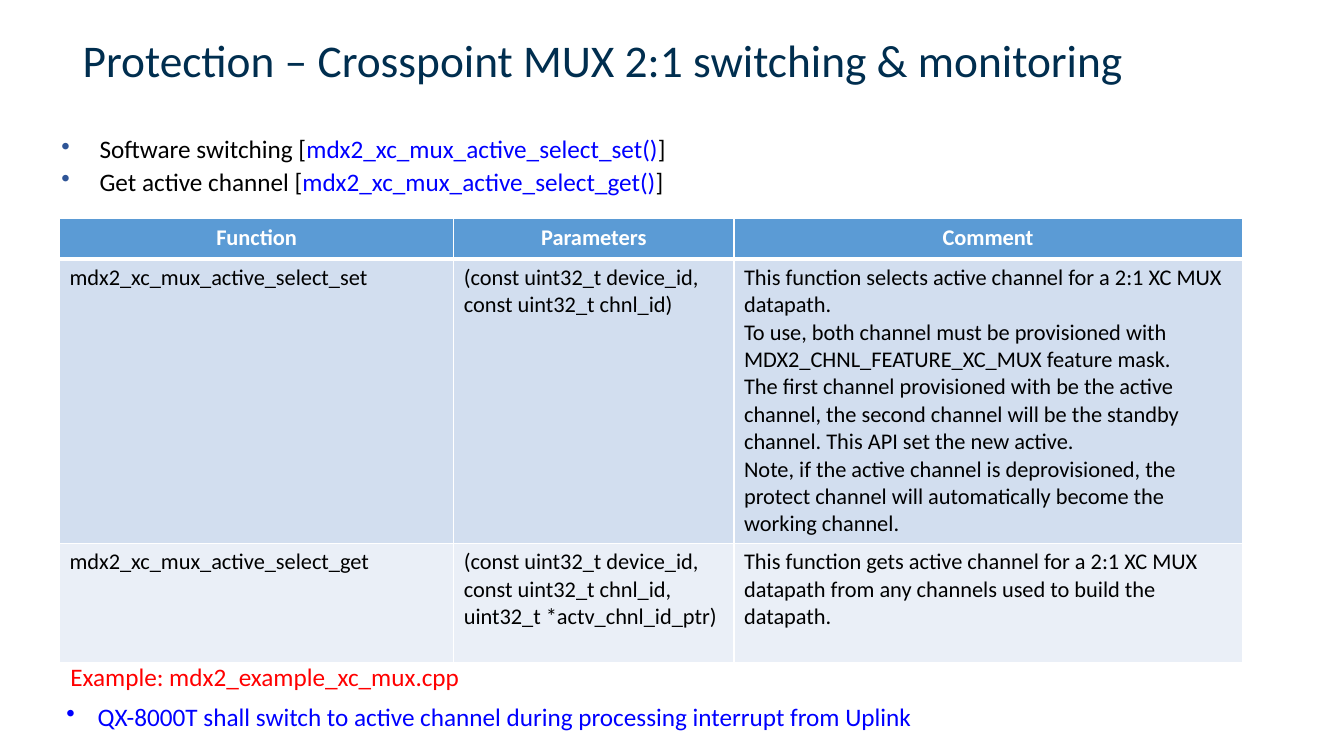
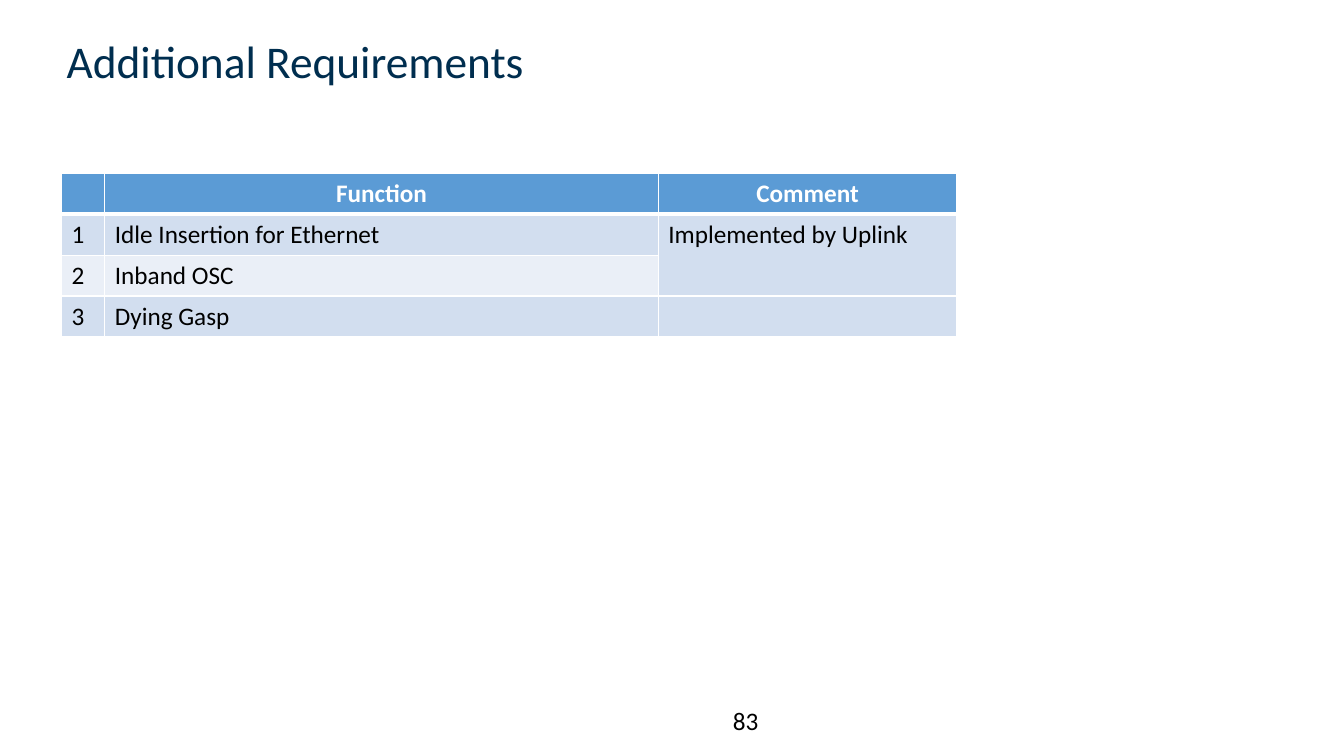
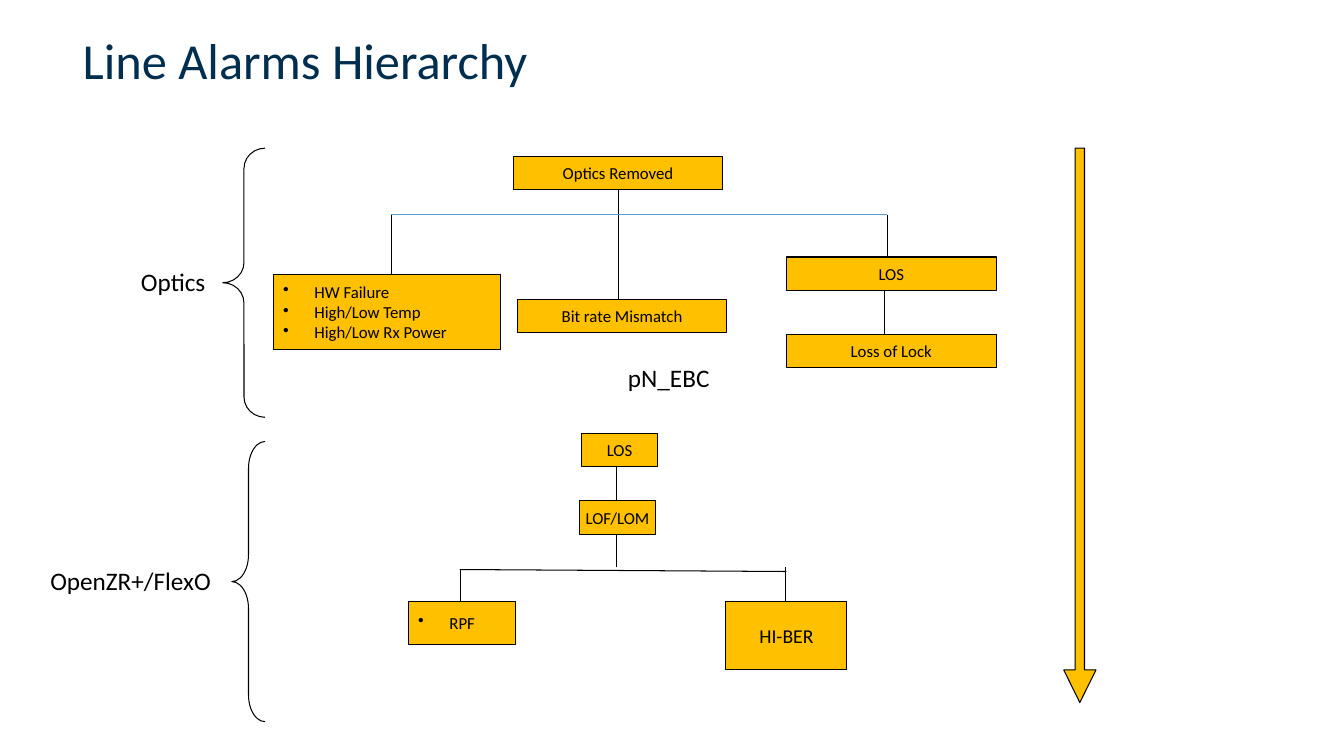
from dataclasses import dataclass
from typing import NamedTuple, Sequence

from lxml.etree import SubElement
from pptx import Presentation
from pptx.dml.color import RGBColor
from pptx.enum.shapes import MSO_CONNECTOR, MSO_SHAPE
from pptx.enum.text import MSO_ANCHOR, PP_ALIGN
from pptx.oxml import parse_xml
from pptx.oxml.ns import nsdecls, qn
from pptx.util import Inches, Pt

BLACK = RGBColor(0x00, 0x00, 0x00)
WHITE = RGBColor(0xFF, 0xFF, 0xFF)
NAVY = RGBColor(0x00, 0x2E, 0x4F)
BLUE = RGBColor(0x00, 0x00, 0xFF)
RED = RGBColor(0xFF, 0x00, 0x00)
AMBER = RGBColor(0xFF, 0xC0, 0x00)
BULLET_BLUE = RGBColor(0x2F, 0x55, 0x97)
HEADER_BLUE = RGBColor(0x5B, 0x9B, 0xD5)
BAND_COLORS = (RGBColor(0xD2, 0xDE, 0xEF), RGBColor(0xEA, 0xEF, 0xF7))

FONT = "Calibri"
CELL = Inches(0.1)  # the slide is a grid of square cells, 75 rows high
EDGES = ("lnL", "lnR", "lnT", "lnB")


def grid(count: float) -> int:
    return round(count * CELL)


class Area(NamedTuple):
    """Left, top, width and height in grid cells."""
    left: float
    top: float
    width: float
    height: float

    def lengths(self) -> tuple[int, ...]:
        return tuple(grid(count) for count in self)


@dataclass(frozen=True)
class TextStyle:
    size: float = 18
    color: RGBColor = BLACK
    bold: bool = False
    alignment: PP_ALIGN = PP_ALIGN.LEFT
    bullet_indent: float = 0
    bullet_color: RGBColor | None = None
    line_spacing: float | None = None
    space_before: float = 0


@dataclass(frozen=True)
class AlarmBox:
    area: Area
    text: str
    size: float = 12
    bulleted: bool = False


class Line(NamedTuple):
    """Start and end points in grid cells."""
    x1: float
    y1: float
    x2: float
    y2: float
    color: RGBColor = BLACK
    width: float = 0.75


class Brace(NamedTuple):
    area: Area
    curve: float


TITLE_AREA = Area(7.2, 0.9, 109.4, 9.9)
NODE_SIZE = (20.8, 3.3)
SMALL_NODE_SIZE = (7.5, 3.3)

ALARM_BOXES = (
    AlarmBox(Area(50.9, 15.5, *NODE_SIZE), "Optics Removed"),
    AlarmBox(Area(27.1, 27.2, 22.5, 7.5),
             "HW Failure\nHigh/Low Temp\nHigh/Low Rx Power", bulleted=True),
    AlarmBox(Area(51.3, 29.7, *NODE_SIZE), "Bit rate Mismatch"),
    AlarmBox(Area(78, 25.5, *NODE_SIZE), "LOS"),
    AlarmBox(Area(78, 33.2, *NODE_SIZE), "Loss of Lock"),
    AlarmBox(Area(57.7, 43, *SMALL_NODE_SIZE), "LOS"),
    AlarmBox(Area(57.5, 49.7, *SMALL_NODE_SIZE), "LOF/LOM"),
    AlarmBox(Area(40.5, 59.7, 10.6, 4.2), "RPF", bulleted=True),
    AlarmBox(Area(72, 59.7, 12, 6.7), "HI-BER", size=14),
)

TREE_LINES = (
    Line(61.3, 18.8, 61.3, 29.7),
    Line(38.8, 21.3, 38.8, 27.2),
    Line(88, 21.3, 88, 25.5),
    Line(38.8, 21.3, 88, 21.3, HEADER_BLUE, 0.5),
    Line(87.7, 28.8, 87.7, 33.2),
    Line(61.1, 46.3, 61.1, 56.3),
    Line(45.6, 56.5, 78, 56.7),
    Line(45.7, 56.5, 45.7, 59.8),
    Line(77.9, 56.3, 77.9, 59.7),
)

BRACES = (
    Brace(Area(22.1, 14.7, 4.2, 26.7), 0.48),
    Brace(Area(23, 43.8, 3.3, 27.8), 0.81),
)

ALARM_LABELS = (
    (Area(13, 25.9, 8.5, 4), "Optics"),
    (Area(4, 55.6, 18.1, 4), "OpenZR+/FlexO"),
    (Area(61.3, 35.5, 10.8, 4), "pN_EBC"),
)

MUX_ROWS = (
    ("Function", "Parameters", "Comment"),
    ("mdx2_xc_mux_active_select_set",
     "(const uint32_t device_id,\nconst uint32_t chnl_id)",
     "This function selects active channel for a 2:1 XC MUX datapath.\n"
     "To use, both channel must be provisioned with "
     "MDX2_CHNL_FEATURE_XC_MUX feature mask.\n"
     "The first channel provisioned with be the active channel, the second "
     "channel will be the standby channel. This API set the new active.\n"
     "Note, if the active channel is deprovisioned, the protect channel "
     "will automatically become the working channel."),
    ("mdx2_xc_mux_active_select_get",
     "(const uint32_t device_id,\nconst uint32_t chnl_id,\n"
     "uint32_t *actv_chnl_id_ptr)",
     "This function gets active channel for a 2:1 XC MUX datapath from any "
     "channels used to build the datapath."),
)

REQUIREMENT_ROWS = (
    ("", "Function", "Comment"),
    ("1", "Idle Insertion for Ethernet", "Implemented by Uplink"),
    ("2", "Inband OSC", ""),
    ("3", "Dying Gasp", ""),
)


def add_bullet(paragraph, indent: float, color: RGBColor) -> None:
    properties = paragraph._p.get_or_add_pPr()
    properties.set("marL", str(grid(indent)))
    properties.set("indent", str(-grid(indent)))
    bullet_color = SubElement(properties, qn("a:buClr"))
    SubElement(bullet_color, qn("a:srgbClr")).set("val", str(color))
    SubElement(properties, qn("a:buChar")).set("char", "•")


def write_text(text_frame, text: str, style: TextStyle) -> None:
    """Write one paragraph for each line of the text."""
    for index, line in enumerate(text.split("\n")):
        paragraph = text_frame.add_paragraph() if index else text_frame.paragraphs[0]
        if line:
            paragraph.add_run().text = line
        if style.bullet_indent:
            add_bullet(paragraph, style.bullet_indent,
                       style.bullet_color or style.color)
        paragraph.alignment = style.alignment
        if style.line_spacing:
            paragraph.line_spacing = style.line_spacing
        if index and style.space_before:
            paragraph.space_before = Pt(style.space_before)
        paragraph.font.name = FONT
        paragraph.font.size = Pt(style.size)
        paragraph.font.bold = style.bold
        paragraph.font.color.rgb = style.color


def add_titled_slide(presentation, title: str, area: Area = TITLE_AREA,
                     size: float = 32.4):
    slide = presentation.slides.add_slide(
        presentation.slide_layouts.get_by_name("Title Only"))
    shape = slide.shapes.title
    shape.left, shape.top, shape.width, shape.height = area.lengths()
    shape.text_frame.vertical_anchor = MSO_ANCHOR.MIDDLE
    write_text(shape.text_frame, title, TextStyle(size, NAVY))
    return slide


def add_text(slide, area: Area, text: str, style: TextStyle = TextStyle(),
             wrap: bool = True):
    text_frame = slide.shapes.add_textbox(*area.lengths()).text_frame
    text_frame.word_wrap = wrap
    write_text(text_frame, text, style)
    return text_frame


def set_borders(cell, row: int) -> None:
    """Draw white cell borders, thicker between the header and the body."""
    properties = cell._tc.get_or_add_tcPr()
    for index, edge in enumerate(EDGES):
        width = Pt(3 if (row, edge) in ((0, "lnB"), (1, "lnT")) else 1)
        properties.insert(index, parse_xml(
            f'<a:{edge} {nsdecls("a")} w="{width}"><a:solidFill>'
            f'<a:srgbClr val="{WHITE}"/></a:solidFill></a:{edge}>'))


def add_banded_table(slide, left: float, top: float, widths: Sequence[float],
                     heights: Sequence[float], rows: Sequence[Sequence[str]],
                     size: float):
    area = Area(left, top, sum(widths), sum(heights))
    table = slide.shapes.add_table(len(rows), len(widths), *area.lengths()).table
    for column, width in zip(table.columns, widths):
        column.width = grid(width)
    header_style = TextStyle(size, WHITE, True, PP_ALIGN.CENTER)
    for row_index, (row, height) in enumerate(zip(rows, heights)):
        table.rows[row_index].height = grid(height)
        for column_index, text in enumerate(row):
            cell = table.cell(row_index, column_index)
            cell.fill.solid()
            cell.fill.fore_color.rgb = (BAND_COLORS[(row_index - 1) % 2]
                                        if row_index else HEADER_BLUE)
            set_borders(cell, row_index)
            write_text(cell.text_frame, text,
                       TextStyle(size) if row_index else header_style)
    return table


def add_outlined_shape(slide, kind: MSO_SHAPE, area: Area,
                       fill: RGBColor | None = AMBER):
    shape = slide.shapes.add_shape(kind, *area.lengths())
    shape.shadow.inherit = False
    if fill is None:
        shape.fill.background()
    else:
        shape.fill.solid()
        shape.fill.fore_color.rgb = fill
    shape.line.color.rgb = BLACK
    shape.line.width = Pt(0.75)
    return shape


def add_alarm_box(slide, box: AlarmBox) -> None:
    text_frame = add_outlined_shape(slide, MSO_SHAPE.RECTANGLE, box.area).text_frame
    text_frame.word_wrap = False
    text_frame.vertical_anchor = MSO_ANCHOR.MIDDLE
    style = (TextStyle(box.size, bullet_indent=3.1) if box.bulleted
             else TextStyle(box.size, alignment=PP_ALIGN.CENTER))
    write_text(text_frame, box.text, style)


def add_line(slide, line: Line) -> None:
    connector = slide.shapes.add_connector(
        MSO_CONNECTOR.STRAIGHT, grid(line.x1), grid(line.y1),
        grid(line.x2), grid(line.y2))
    connector.line.color.rgb = line.color
    connector.line.width = Pt(line.width)
    SubElement(connector._element.spPr, qn("a:effectLst"))


def build_mux_slide(presentation) -> None:
    slide = add_titled_slide(
        presentation, "Protection – Crosspoint MUX 2:1 switching & monitoring")
    body = add_text(
        slide, Area(5.1, 13.1, 111.6, 9.2),
        "Software switching [\nGet active channel [",
        TextStyle(bullet_indent=3.8, bullet_color=BULLET_BLUE,
                  line_spacing=0.9, space_before=3.6))
    for paragraph, action in zip(body.paragraphs, ("set", "get")):
        function_run = paragraph.add_run()
        function_run.text = f"mdx2_xc_mux_active_select_{action}()"
        function_run.font.color.rgb = BLUE
        paragraph.add_run().text = "]"
    add_banded_table(slide, 5.9, 21.7, (39.1, 27.8, 50.4), (4, 28.2, 11.8),
                     MUX_ROWS, 16)
    add_text(slide, Area(6, 65.1, 41, 4), "Example: mdx2_example_xc_mux.cpp",
             TextStyle(color=RED), wrap=False)
    add_text(slide, Area(5.6, 69.1, 126, 4),
             "QX-8000T shall switch to active channel during processing "
             "interrupt from Uplink",
             TextStyle(color=BLUE, bullet_indent=3.1))


def build_requirements_slide(presentation) -> None:
    slide = add_titled_slide(presentation, "Additional Requirements",
                             Area(5.6, 3.6, 85.2, 4.7))
    table = add_banded_table(slide, 6.1, 17.2, (4.3, 54.9, 29.6),
                             (4.05,) * len(REQUIREMENT_ROWS),
                             REQUIREMENT_ROWS, 18)
    table.cell(1, 2).merge(table.cell(2, 2))
    add_text(slide, Area(71.7, 69.5, 23.3, 4), "83")


def build_alarms_slide(presentation) -> None:
    slide = add_titled_slide(presentation, "Line Alarms Hierarchy", size=36)
    for line in TREE_LINES:
        add_line(slide, line)
    for box in ALARM_BOXES:
        add_alarm_box(slide, box)
    for brace in BRACES:
        shape = add_outlined_shape(slide, MSO_SHAPE.LEFT_BRACE, brace.area, None)
        shape.adjustments[0] = brace.curve
    for area, text in ALARM_LABELS:
        add_text(slide, area, text, wrap=False)
    arrow = add_outlined_shape(slide, MSO_SHAPE.DOWN_ARROW,
                               Area(105.5, 14.7, 3.2, 55))
    arrow.adjustments[0] = 0.29
    arrow.adjustments[1] = 1.01


def main() -> None:
    presentation = Presentation()
    presentation.slide_width = Inches(13.33)
    presentation.slide_height = Inches(7.5)
    build_mux_slide(presentation)
    build_requirements_slide(presentation)
    build_alarms_slide(presentation)
    presentation.save("out.pptx")


if __name__ == "__main__":
    main()
